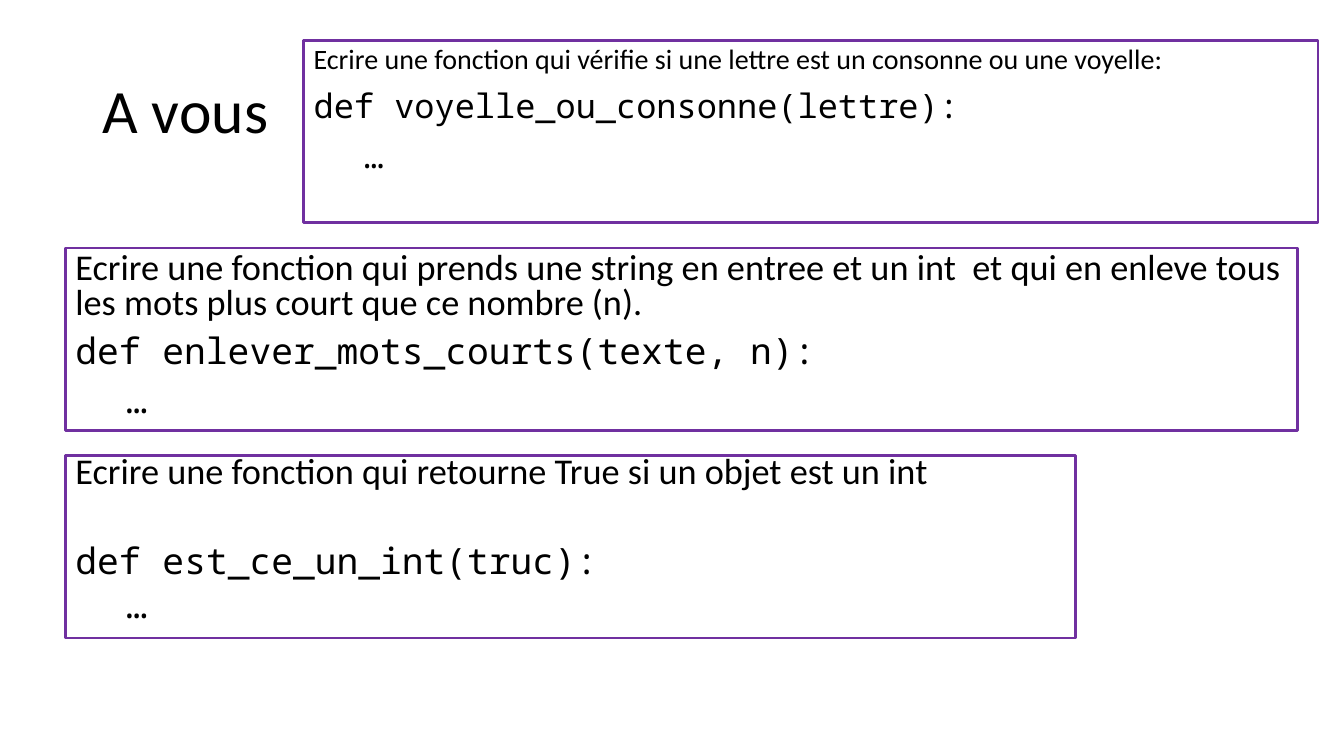
from pptx import Presentation
from pptx.dml.color import RGBColor
from pptx.enum.text import MSO_ANCHOR as Anchor, MSO_AUTO_SIZE as AutoSize, PP_ALIGN as Align
from pptx.util import Pt

BLACK = RGBColor(0x00, 0x00, 0x00)
PURPLE = RGBColor(0x70, 0x30, 0xA0)
TEXT_FONT = "Calibri"
CODE_FONT = "Noto Sans Mono"

FIRST_TOP, BOX_PITCH, BOX_HEIGHT = 28.8, 148.3, 130.3
SPACE_BEFORE = 10

# left, width, line spacing, text size, code size, space before code, instruction, signature
EXERCISES = [
    (216.9, 724.5, 0.9, 20, 24, SPACE_BEFORE,
     "Ecrire une fonction qui vérifie si une lettre est un consonne ou une voyelle:",
     "def voyelle_ou_consonne(lettre):"),
    (46.8, 880, 0.8, 25.9, 25.9, SPACE_BEFORE,
     "Ecrire une fonction qui prends une string en entree et un int  et qui en enleve tous "
     "les mots plus court que ce nombre (n).",
     "def enlever_mots_courts(texte, n):"),
    (46.8, 721.5, 0.7, 25.9, 25.9, 42,
     "Ecrire une fonction qui retourne True si un objet est un int",
     "def est_ce_un_int(truc):"),
]


def write_paragraph(paragraph, text, font_name, size, line_spacing, space_before):
    paragraph_format = {"alignment": Align.LEFT, "line_spacing": line_spacing,
                        "space_before": Pt(space_before)}
    for name, value in paragraph_format.items():
        setattr(paragraph, name, value)
    run = paragraph.add_run()
    run.text = text
    for name, value in {"name": font_name, "size": Pt(size)}.items():
        setattr(run.font, name, value)
    run.font.color.rgb = BLACK


presentation = Presentation()
presentation.slide_width, presentation.slide_height = Pt(960), Pt(540)
slide = presentation.slides.add_slide(presentation.slide_layouts[5])

title = slide.shapes.title
title_place = {"left": 66, "top": 28.8, "width": 828, "height": 104.4}
for name, value in title_place.items():
    setattr(title, name, Pt(value))
title.text_frame.vertical_anchor = Anchor.MIDDLE
title.text_frame.auto_size = AutoSize.NONE
write_paragraph(title.text_frame.paragraphs[0], "A vous", TEXT_FONT, 44, 0.9, 0)

for index, exercise in enumerate(EXERCISES):
    left, width, spacing, text_size, code_size, code_gap, instruction, signature = exercise
    top = FIRST_TOP + index * BOX_PITCH
    box = slide.shapes.add_textbox(Pt(left), Pt(top), Pt(width), Pt(BOX_HEIGHT))
    box.line.color.rgb = PURPLE
    box.line.width = Pt(2)
    frame = box.text_frame
    frame.word_wrap = True
    lines = [
        (instruction, TEXT_FONT, text_size, SPACE_BEFORE),
        (signature, CODE_FONT, code_size, code_gap),
        ("\t…", CODE_FONT, code_size, SPACE_BEFORE),
    ]
    for position, (text, font_name, size, gap) in enumerate(lines):
        paragraph = frame.add_paragraph() if position else frame.paragraphs[0]
        write_paragraph(paragraph, text, font_name, size, spacing, gap)

presentation.save("out.pptx")
